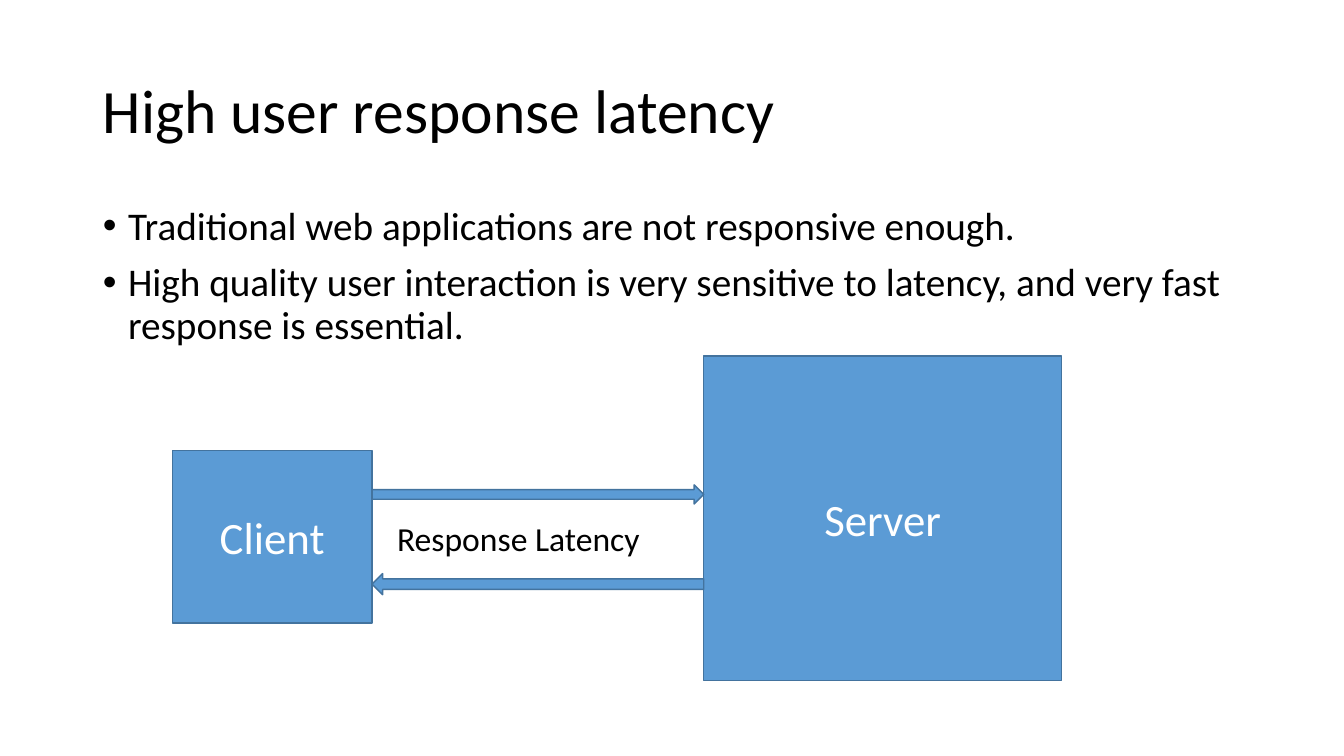
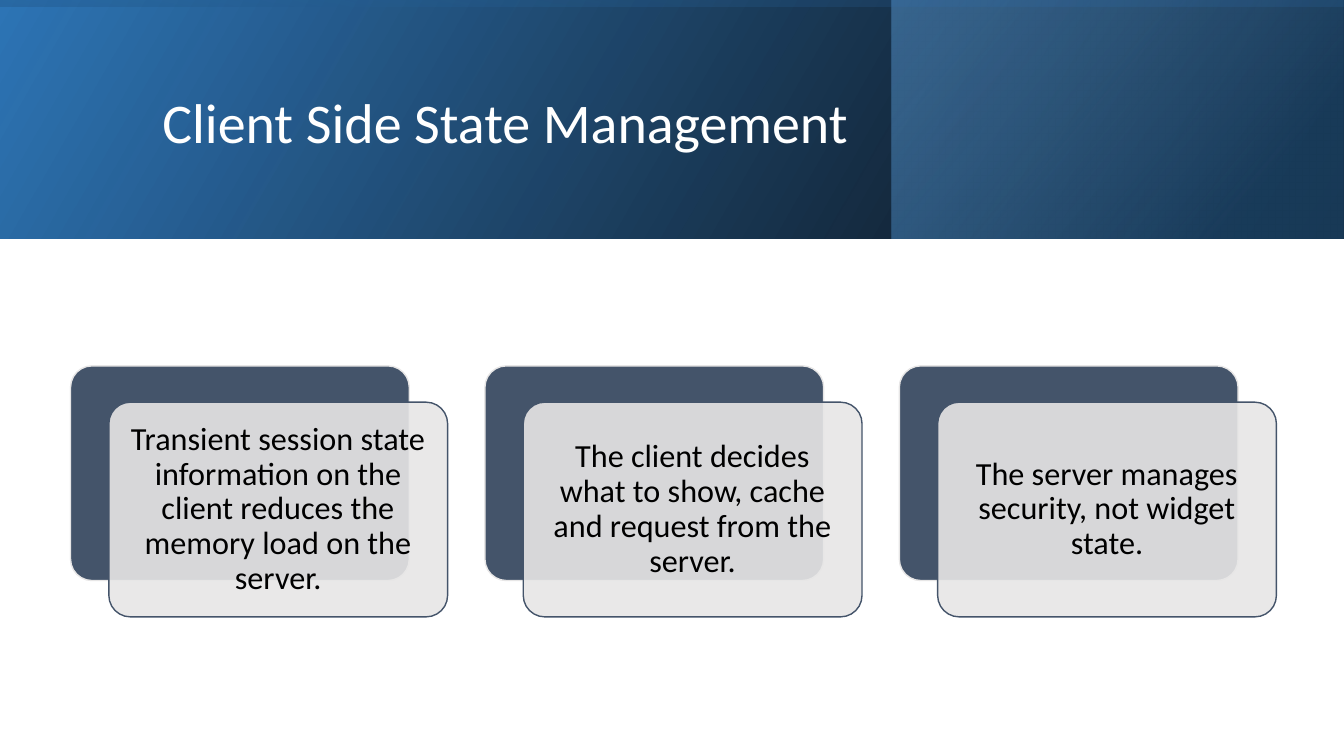
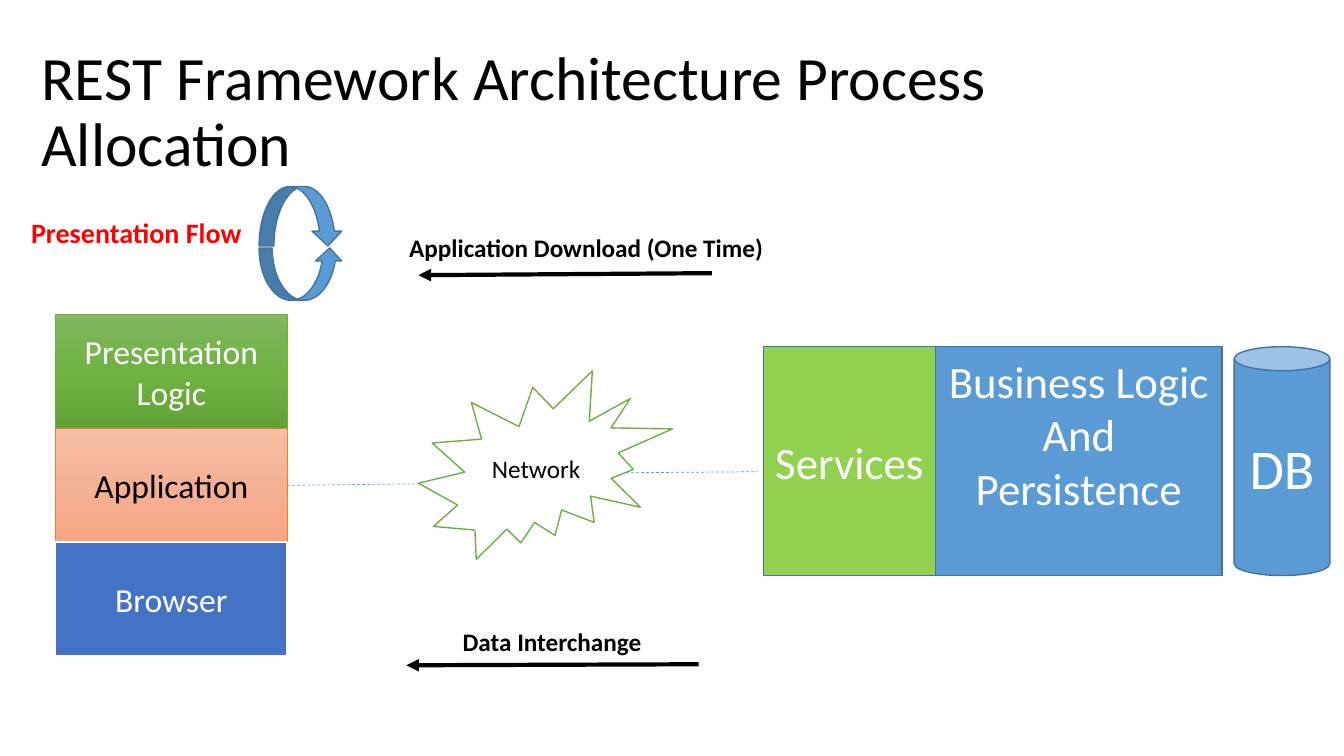
import pptx
import pptx.util
import pptx.dml.color
import pptx.enum.dml
import pptx.enum.shapes
import pptx.enum.text
import pptx.oxml.ns
import lxml.etree

SCALE = 9144  # EMU in one px, 100 px to the inch
FONT = "Calibri"
COLORS = {
    "black": "000000", "white": "FFFFFF", "red": "FF0000",
    "blue": "5B9BD5", "edge": "43739E", "deep": "2E75B6", "navy": "1F4E79",
    "slate": "44546A", "mist": "E7E6E6", "royal": "4472C4",
    "green": "70AD47", "lime": "92D050", "orange": "ED7D31",
    "leaf1": "81B861", "leaf2": "6FB242", "leaf3": "62A336",
    "peach1": "F7BDA5", "peach2": "F5B196", "peach3": "F8A582",
}
KIND = pptx.enum.shapes.MSO_SHAPE
ALIGN = pptx.enum.text.PP_ALIGN
ANCHOR = pptx.enum.text.MSO_ANCHOR
FIT = pptx.enum.text.MSO_AUTO_SIZE
DASH = pptx.enum.dml.MSO_LINE.DASH
qn = pptx.oxml.ns.qn


def px(n):
    return int(n * SCALE)


def rgb(name):
    return pptx.dml.color.RGBColor.from_string(COLORS[name])


def setall(item, vals):
    for key, val in vals.items():
        setattr(item, key, val)


def sub(node, tag, **vals):
    return lxml.etree.SubElement(node, qn(tag), vals)


def alpha(color, pct):
    sub(color, "a:alpha", val=str(pct * 1000))


class Deck:
    def __init__(self):
        self.prs = pptx.Presentation()
        setall(self.prs, {"slide_width": px(1333), "slide_height": px(750)})
        self.slide = None

    def start(self, layout):
        self.slide = self.prs.slides.add_slide(self.prs.slide_layouts[layout])

    def place(self, item, box):
        setall(item, dict(zip(("left", "top", "width", "height"), map(px, box))))

    def fill_text(self, frame, lines, size, color="black", bold=False,
                  align=ALIGN.LEFT, anchor=ANCHOR.TOP, lead=1.0, gap=0, bullet=False):
        setall(frame, {"word_wrap": True, "auto_size": FIT.NONE,
                       "vertical_anchor": anchor})
        for i, line in enumerate(lines):
            para = frame.paragraphs[0] if i == 0 else frame.add_paragraph()
            para.text = line
            setall(para, {"alignment": align, "line_spacing": lead,
                          "space_before": pptx.util.Pt(gap if i else 0)})
            if bullet:
                props = para._p.get_or_add_pPr()
                props.set("marL", str(px(25)))
                props.set("indent", str(px(-25)))
                sub(props, "a:buChar", char="•")
            setall(para.font, {"name": FONT, "size": pptx.util.Pt(size), "bold": bold})
            para.font.color.rgb = rgb(color)

    def title(self, text, box, size=44, color="black"):
        item = self.slide.shapes.title
        self.place(item, box)
        self.fill_text(item.text_frame, [text], size, color,
                       anchor=ANCHOR.MIDDLE, lead=0.9)
        item.element.getparent().append(item.element)  # bring to front

    def points(self, lines, box):
        item = self.slide.placeholders[1]
        self.place(item, box)
        self.fill_text(item.text_frame, lines, 28, lead=0.9, gap=10, bullet=True)

    def label(self, text, box, size, color="black", bold=True):
        item = self.slide.shapes.add_textbox(*map(px, box))
        self.fill_text(item.text_frame, [text], size, color, bold)

    def shade(self, item, stops, angle):
        # stops: position, colour, opacity in percent
        item.fill.gradient()
        item.fill.gradient_angle = (360 - angle) % 360
        group = item.element.spPr.find(".//" + qn("a:gsLst"))
        for old in list(group):
            group.remove(old)
        for pos, name, pct in stops:
            stop = sub(group, "a:gs", pos=str(pos * 1000))
            alpha(sub(stop, "a:srgbClr", val=COLORS[name]), pct)

    def shape(self, kind, box, fill="blue", line="edge", weight=1, text=None,
              size=32, color="white", lead=1.0, turn=0, clear=None, inset=None):
        item = self.slide.shapes.add_shape(kind, *map(px, box))
        item.shadow.inherit = False
        item.rotation = turn
        if isinstance(fill, tuple):
            self.shade(item, *fill)
        else:
            item.fill.solid()
            item.fill.fore_color.rgb = rgb(fill)
        if clear:
            alpha(item.element.spPr.find(qn("a:solidFill")).find(qn("a:srgbClr")), clear)
        if line:
            item.line.color.rgb = rgb(line)
            item.line.width = pptx.util.Pt(weight)
        else:
            item.line.fill.background()
        if text:
            setall(item.text_frame, {k: px(v) for k, v in (inset or {}).items()})
            self.fill_text(item.text_frame, [text], size, color, align=ALIGN.CENTER,
                           anchor=ANCHOR.MIDDLE, lead=lead)
        return item

    def band(self, box, stops, angle, turn=0):
        item = self.shape(KIND.RECTANGLE, box, (stops, angle), None, turn=turn)
        item.element.spPr.find(qn("a:xfrm")).set("flipH", "1")

    def card(self, left, top, text):
        inset = dict.fromkeys(("margin_left", "margin_top",
                               "margin_right", "margin_bottom"), 10)
        back = self.shape(KIND.ROUNDED_RECTANGLE, (left, top, 336, 213), "slate", "mist")
        front = self.shape(KIND.ROUNDED_RECTANGLE, (left + 38, top + 36, 336, 213),
                           "mist", "slate", text=text, size=23, color="black",
                           lead=0.9, clear=90, inset=inset)
        for item in (back, front):
            item.adjustments[0] = 0.1

    def line(self, ends, color, weight, dash=None, arrow=False, source=None):
        item = self.slide.shapes.add_connector(
            pptx.enum.shapes.MSO_CONNECTOR.STRAIGHT, *map(px, ends))
        if source:
            item.begin_connect(source, 3)
        item.line.color.rgb = rgb(color)
        setall(item.line, {"width": pptx.util.Pt(weight), "dash_style": dash})
        if arrow:
            sub(item.element.spPr.find(qn("a:ln")), "a:tailEnd", type="triangle")
        sub(item.element.spPr, "a:effectLst")


def latency(deck):
    deck.start(1)
    deck.title("High user response latency", (92, 40, 1150, 145))
    deck.points(["Traditional web applications are not responsive enough.",
                 "High quality user interaction is very sensitive to latency, "
                 "and very fast response is essential."], (92, 200, 1150, 476))
    deck.shape(KIND.RECTANGLE, (171, 447, 198, 171), text="Client")
    deck.shape(KIND.RECTANGLE, (698, 353, 355, 322), text="Server")
    # request and reply
    for top, high, turn in ((481, 19, 0), (569, 21, 180)):
        deck.shape(KIND.RIGHT_ARROW, (369, top, 329, high), turn=turn)
    deck.label("Response Latency", (384, 509, 282, 50), 24, bold=False)


def state(deck):
    deck.start(5)
    # header bands
    deck.band((0, 0, 1333, 237), [(0, "black", 96), (100, "deep", 100)], 330)
    deck.band((884, 0, 448, 237), [(19, "navy", 68), (100, "blue", 48)], 320)
    deck.band((548, -548, 237, 1333), [(23, "deep", 16), (99, "black", 45)], 350, 270)
    deck.title("Client Side State Management", (151, 38, 1063, 172), 40, "white")
    # cards
    texts = ["Transient session state information on the client reduces "
             "the memory load on the server.",
             "The client decides what to show, cache and request from the server.",
             "The server manages security, not widget state."]
    for i, text in enumerate(texts):
        deck.card(70 + 411 * i, 363, text)


def process(deck):
    deck.start(5)
    deck.title("REST Framework Architecture Process Allocation", (31, 40, 1211, 145))
    # client stack
    leaf = [(0, "leaf1", 100), (50, "leaf2", 100), (100, "leaf3", 100)]
    peach = [(0, "peach1", 100), (50, "peach2", 100), (100, "peach3", 100)]
    layers = [("Presentation Logic", (leaf, 90), "green", 0.5, "white"),
              ("Application", (peach, 90), "orange", 0.5, "black"),
              ("Browser", "royal", "white", 1.5, "white")]
    stack = [deck.shape(KIND.RECTANGLE, (55, 312 + 113 * i, 230, 113), fill, edge,
                        weight, text, 24, color)
             for i, (text, fill, edge, weight, color) in enumerate(layers)]
    # network
    deck.shape(KIND.EXPLOSION2, (415, 368, 252, 187), "white", "green",
               text="Network", size=18, color="black")
    deck.line((285, 482, 415, 480), "blue", 0.5, DASH, source=stack[1])
    deck.line((621, 469, 751, 468), "blue", 0.5, DASH)
    # server side
    deck.shape(KIND.RECTANGLE, (928, 344, 284, 227),
               text="Business Logic And Persistence", inset={"margin_bottom": 59})
    deck.shape(KIND.RECTANGLE, (757, 344, 171, 227), "lime", text="Services")
    deck.shape(KIND.CAN, (1224, 344, 95, 227), text="DB", size=40)
    # flows
    deck.line((706, 271, 415, 273), "black", 3, arrow=True)
    deck.label("Application Download (One Time)", (396, 226, 395, 40), 18)
    deck.line((693, 659, 403, 660), "black", 3, arrow=True)
    deck.label("Data Interchange", (449, 616, 360, 40), 18)
    deck.shape(KIND.CURVED_UP_ARROW, (257, 246, 83, 52))
    deck.shape(KIND.CURVED_DOWN_ARROW, (257, 185, 83, 59))
    deck.label("Presentation Flow", (21, 209, 236, 44), 20, "red")


def main():
    deck = Deck()
    for build in (latency, state, process):
        build(deck)
    deck.prs.save("out.pptx")


if __name__ == "__main__":
    main()
